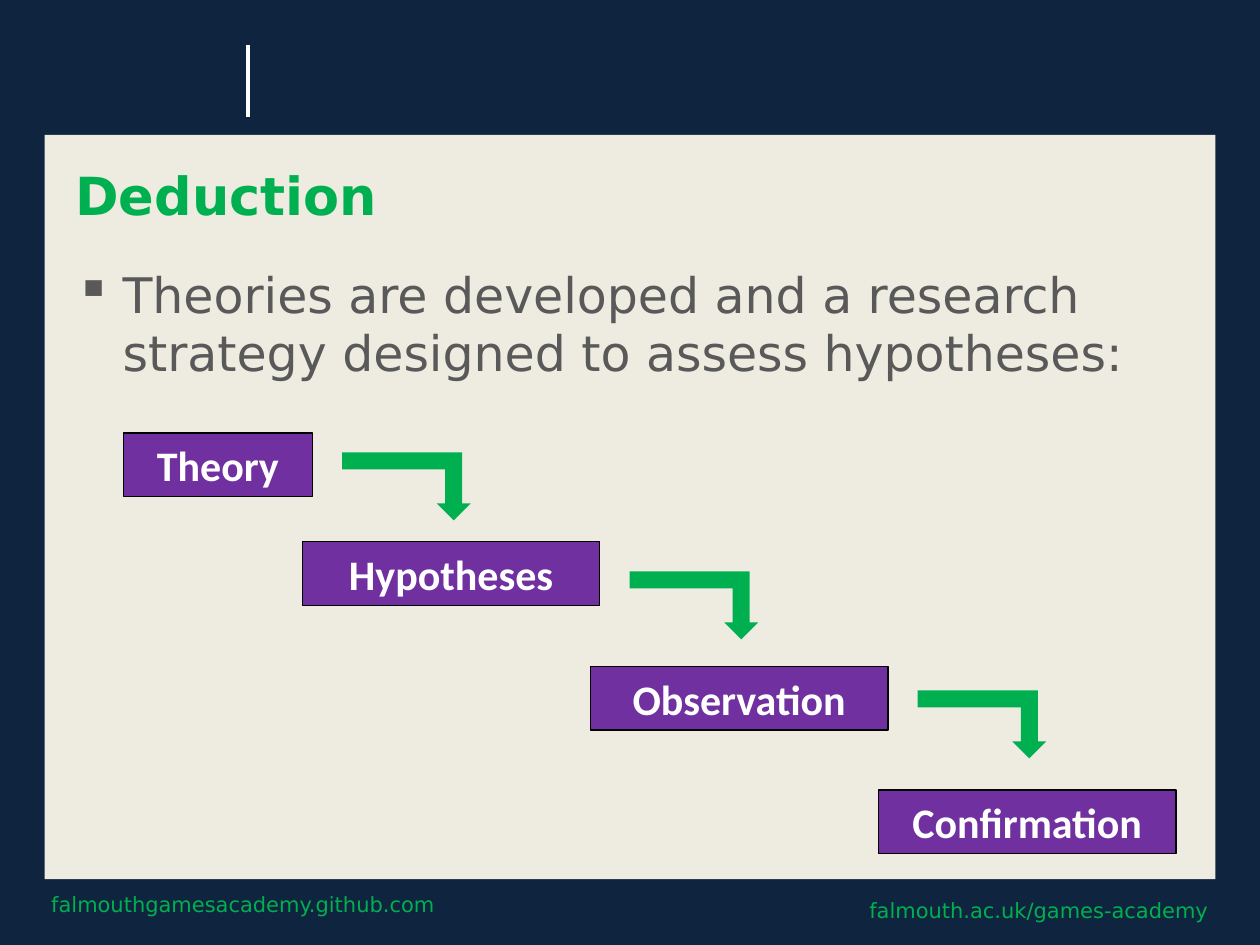
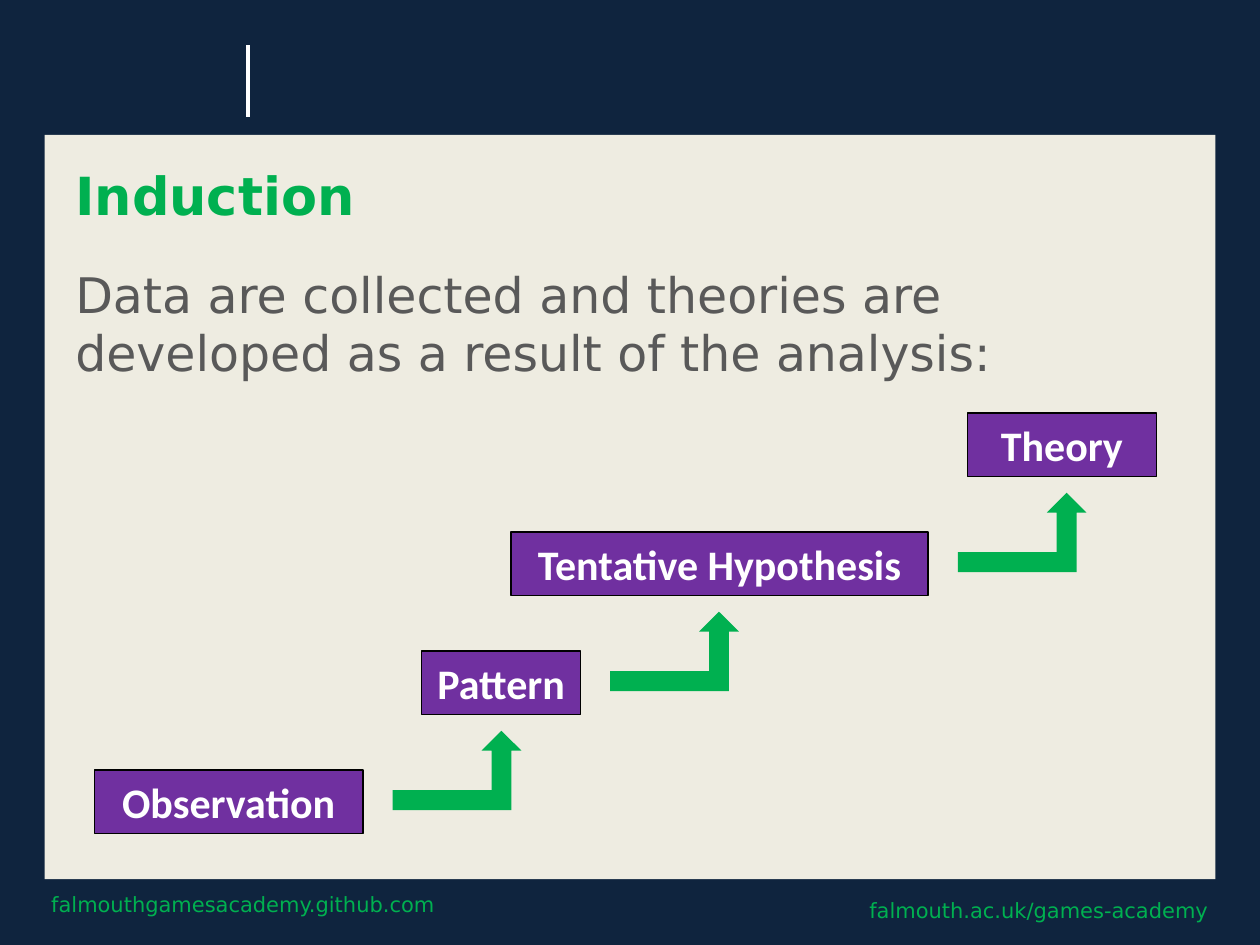
from dataclasses import dataclass
from lxml.etree import SubElement
from pptx import Presentation
from pptx.dml.color import RGBColor
from pptx.enum.shapes import MSO_CONNECTOR, MSO_SHAPE
from pptx.enum.text import MSO_ANCHOR, PP_ALIGN
from pptx.oxml.ns import qn
from pptx.util import Pt


@dataclass(frozen=True)
class Theme:
    navy: RGBColor = RGBColor.from_string("0F243E")
    cream: RGBColor = RGBColor.from_string("EEECE1")
    green: RGBColor = RGBColor.from_string("00B050")
    purple: RGBColor = RGBColor.from_string("7030A0")
    grey: RGBColor = RGBColor.from_string("595959")
    white: RGBColor = RGBColor.from_string("FFFFFF")
    black: RGBColor = RGBColor.from_string("000000")
    heading: str = "DejaVu Sans"
    label: str = "Calibri"
    footer_size: Pt = Pt(12)
    step_size: Pt = Pt(24)
    body_size: Pt = Pt(28)
    title_size: Pt = Pt(30)


theme = Theme()
footer_format = {"name": theme.heading, "size": theme.footer_size}
title_format = {"name": theme.heading, "size": theme.title_size, "bold": True}
body_format = {"name": theme.heading, "size": theme.body_size}
step_format = {"name": theme.label, "size": theme.step_size, "bold": True}


def write(shape, text, formats, color, align=PP_ALIGN.LEFT, anchor=MSO_ANCHOR.MIDDLE):
    frame = shape.text_frame
    frame.word_wrap = True
    frame.vertical_anchor = anchor
    paragraph = frame.paragraphs[0]
    paragraph.alignment = align
    run = paragraph.add_run()
    run.text = text
    for attribute, value in formats.items():
        setattr(run.font, attribute, value)
    run.font.color.rgb = color
    return paragraph


def add_block(slide, preset, box, fill, outline=None):
    block = slide.shapes.add_shape(preset, *map(Pt, box))
    block.shadow.inherit = False
    block.fill.solid()
    block.fill.fore_color.rgb = fill
    if outline is None:
        block.line.fill.background()
    else:
        block.line.color.rgb = outline
        block.line.width = Pt(0.75)
    return block


step_height = 36.3
arrow_gap = 17
arrow_width = 73.5
stair_rise = 68

footers = [
    ("falmouth.ac.uk/games-academy", (473, 505.5, 224.6, 28.8), PP_ALIGN.RIGHT),
    ("falmouthgamesacademy.github.com", (22.2, 502.5, 275.8, 28.8), PP_ALIGN.LEFT),
]
topics = [
    {
        "title": "Deduction",
        "summary": "Theories are developed and a research strategy designed to assess hypotheses:",
        "bulleted": True,
        "steps": [
            ("Theory", 70.5, 247.4, 108),
            ("Hypotheses", 172.8, 309.6, 170),
            ("Observation", 337.4, 380.9, 170),
            ("Confirmation", 502, 451.4, 170),
        ],
        "arrow_start": 258.5,
        "arrow_step": stair_rise,
        "arrow_height": 38.9,
        "descending": True,
    },
    {
        "title": "Induction",
        "summary": "Data are collected and theories are developed as a result of the analysis:",
        "bulleted": False,
        "steps": [
            (name, left, 440 - stair_rise * level, width)
            for level, (name, left, width) in enumerate([
                ("Observation", 54, 153.4),
                ("Pattern", 241, 90.7),
                ("Tentative Hypothesis", 292, 238.3),
                ("Theory", 552.8, 108),
            ])
        ],
        "arrow_start": 417.6,
        "arrow_step": -stair_rise,
        "arrow_height": 45.3,
        "descending": False,
    },
]

deck = Presentation()
deck.slide_width, deck.slide_height = Pt(720), Pt(540)

for topic in topics:
    slide = deck.slides.add_slide(deck.slide_layouts[6])
    slide.background.fill.solid()
    slide.background.fill.fore_color.rgb = theme.navy

    for address, box, align in footers:
        footer = slide.shapes.add_textbox(*map(Pt, box))
        write(footer, address, footer_format, theme.green, align)

    divider = slide.shapes.add_connector(
        MSO_CONNECTOR.STRAIGHT, Pt(141.8), Pt(25.9), Pt(141.8), Pt(67)
    )
    divider.line.color.rgb = theme.white
    divider.line.width = Pt(2.5)
    SubElement(divider._element.spPr, qn("a:effectLst"))

    add_block(slide, MSO_SHAPE.RECTANGLE, (25.5, 77.1, 669, 425.3), theme.cream)

    heading = slide.shapes.add_textbox(Pt(36), Pt(88.6), Pt(648), Pt(45.4))
    write(heading, topic["title"], title_format, theme.green)

    summary = slide.shapes.add_textbox(Pt(36), Pt(145.4), Pt(648), Pt(345.6))
    summary.text_frame.margin_top = Pt(5.5)
    sentence = write(
        summary, topic["summary"], body_format, theme.grey, anchor=MSO_ANCHOR.TOP
    )
    if topic["bulleted"]:
        properties = sentence._p.get_or_add_pPr()
        properties.set("marL", str(Pt(27)))
        properties.set("indent", str(Pt(-27)))
        SubElement(properties, qn("a:buChar")).set("char", "▪")

    for name, left, top, width in topic["steps"]:
        step = add_block(
            slide, MSO_SHAPE.RECTANGLE, (left, top, width, step_height),
            theme.purple, theme.black,
        )
        write(step, name, step_format, theme.white, PP_ALIGN.CENTER)

    for index, (name, left, top, width) in enumerate(topic["steps"][:-1]):
        arrow_top = topic["arrow_start"] + index * topic["arrow_step"]
        arrow = add_block(
            slide, MSO_SHAPE.BENT_UP_ARROW,
            (left + width + arrow_gap, arrow_top, arrow_width, topic["arrow_height"]),
            theme.green,
        )
        if topic["descending"]:
            arrow._element.spPr.find(qn("a:xfrm")).set("flipV", "1")

deck.save("out.pptx")
